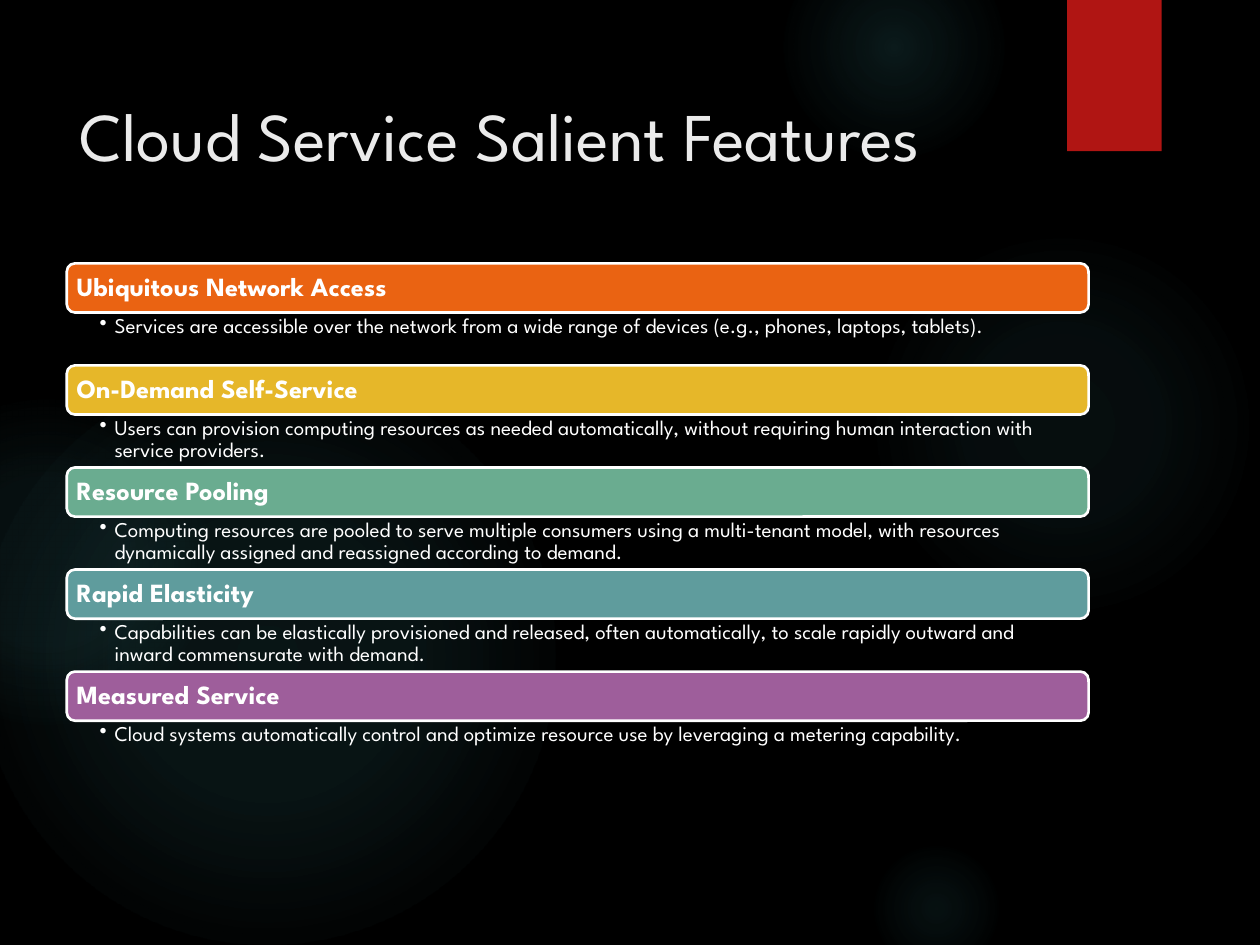
from dataclasses import dataclass

from lxml import etree
from pptx import Presentation
from pptx.dml.color import RGBColor
from pptx.enum.shapes import MSO_SHAPE as Shape
from pptx.enum.text import MSO_ANCHOR as Anchor, PP_ALIGN as Align
from pptx.oxml import parse_xml
from pptx.oxml.ns import nsdecls, qn
from pptx.util import Inches, Pt

FONT = "League Spartan"
COLORS = {
    "background": "000000", "glow": "50B9C1", "ribbon": "B01513",
    "title": "EBEBEB", "white": "FFFFFF", "orange": "EA6312",
    "yellow": "E6B729", "green": "6AAC90", "teal": "5F9C9D", "purple": "9E5E9B",
}
LEFT, WIDTH = 0.53, 8.11
FIRST_TOP, ROW_STEP = 2.09, 0.81
BAR_HEIGHT, DETAIL_HEIGHT = 0.39, 0.42


@dataclass
class Glow:
    left: float
    top: float
    size: float
    stops: tuple[tuple[int, int], ...]  # position %, opacity %


@dataclass
class Feature:
    heading: str
    detail: str
    color: str


GLOWS = [
    Glow(6.89, 1.83, 3.08, ((0, 7), (36, 6), (69, 0))),
    Glow(6.22, -0.5, 1.75, ((0, 14), (36, 7), (73, 0))),
    Glow(6.89, 6.67, 1.08, ((0, 9), (36, 5), (66, 0))),
    Glow(-0.17, 2.92, 4.58, ((0, 11), (36, 10), (75, 0))),
    Glow(-0.92, 3.17, 2.58, ((0, 8), (36, 8), (72, 0))),
]
FEATURES = [
    Feature("Ubiquitous Network Access",
            "Services are accessible over the network from a wide range of devices "
            "(e.g., phones, laptops, tablets).", "orange"),
    Feature("On-Demand Self-Service",
            "Users can provision computing resources as needed automatically, "
            "without requiring human interaction with service providers.", "yellow"),
    Feature("Resource Pooling",
            "Computing resources are pooled to serve multiple consumers using a "
            "multi-tenant model, with resources dynamically assigned and reassigned "
            "according to demand.", "green"),
    Feature("Rapid Elasticity",
            "Capabilities can be elastically provisioned and released, often "
            "automatically, to scale rapidly outward and inward commensurate with "
            "demand.", "teal"),
    Feature("Measured Service",
            "Cloud systems automatically control and optimize resource use by "
            "leveraging a metering capability.", "purple"),
]


def rgb(name: str) -> RGBColor:
    return RGBColor.from_string(COLORS[name])


def add_block(page, kind: Shape, left: float, top: float, width: float, height: float,
              color: str):
    block = page.shapes.add_shape(
        kind, Inches(left), Inches(top), Inches(width), Inches(height))
    block.shadow.inherit = False
    block.fill.solid()
    block.fill.fore_color.rgb = rgb(color)
    block.line.fill.background()
    return block


def add_glow(page, glow: Glow) -> None:
    circle = add_block(page, Shape.OVAL, glow.left, glow.top, glow.size, glow.size, "glow")
    stops = "".join(
        f'<a:gs pos="{position * 1000}"><a:srgbClr val="{COLORS["glow"]}">'
        f'<a:alpha val="{opacity * 1000}"/></a:srgbClr></a:gs>'
        for position, opacity in glow.stops)
    gradient = parse_xml(
        f'<a:gradFill {nsdecls("a")} rotWithShape="1"><a:gsLst>{stops}</a:gsLst>'
        '<a:path path="circle"><a:fillToRect l="50000" t="50000" r="50000" b="50000"/>'
        '</a:path></a:gradFill>')
    properties = circle.element.spPr
    properties.replace(properties.find(qn("a:solidFill")), gradient)


def write_text(shape, text: str, size: float, color: str,
               insets: tuple[float, float, float, float], bold: bool = False,
               anchor: Anchor = Anchor.TOP, spacing: float = 0.9, bullet: bool = False) -> None:
    frame = shape.text_frame
    frame.word_wrap = True
    frame.vertical_anchor = anchor
    frame.margin_left, frame.margin_top, frame.margin_right, frame.margin_bottom = map(
        Inches, insets)
    frame.text = text
    para = frame.paragraphs[0]
    para.alignment = Align.LEFT
    para.line_spacing = spacing
    if bullet:
        para.level = 1
        properties = para._p.get_or_add_pPr()
        properties.set("marL", str(Inches(0.12)))
        properties.set("indent", str(-Inches(0.12)))
        etree.SubElement(properties, qn("a:buChar")).set("char", "•")
    span = para.runs[0]
    span.font.name = FONT
    span.font.size = Pt(size)
    span.font.bold = bold
    span.font.color.rgb = rgb(color)


def add_text(page, left: float, top: float, width: float, height: float):
    return page.shapes.add_textbox(Inches(left), Inches(top), Inches(width), Inches(height))


def add_feature(page, feature: Feature, top: float) -> None:
    # Coloured heading bar
    bar = add_block(page, Shape.ROUNDED_RECTANGLE, LEFT, top, WIDTH, BAR_HEIGHT, feature.color)
    bar.line.color.rgb = rgb("white")
    bar.line.width = Pt(1.5)
    write_text(bar, feature.heading, 15, "white", (0.06, 0.06, 0.06, 0.06),
               bold=True, anchor=Anchor.MIDDLE)
    # Bulleted explanation
    box = add_text(page, LEFT, top + BAR_HEIGHT, WIDTH, DETAIL_HEIGHT)
    write_text(box, feature.detail, 12, "white", (0.26, 0.02, 0.12, 0.02), bullet=True)


def main() -> None:
    deck = Presentation()
    deck.slide_width, deck.slide_height = Inches(10), Inches(7.5)
    page = deck.slides.add_slide(deck.slide_layouts[6])

    # Background, glows and ribbon
    page.background.fill.solid()
    page.background.fill.fore_color.rgb = rgb("background")
    for glow in GLOWS:
        add_glow(page, glow)
    add_block(page, Shape.RECTANGLE, 8.47, 0, 0.75, 1.2, "ribbon")

    # Title
    title = add_text(page, LEFT, 0.69, WIDTH, 1.77)
    write_text(title, "Cloud Service Salient Features", 39, "title",
               (0.1, 0.05, 0.1, 0.05), spacing=1.0)

    # Feature list
    for row, feature in enumerate(FEATURES):
        add_feature(page, feature, FIRST_TOP + row * ROW_STEP)

    deck.save("out.pptx")


if __name__ == "__main__":
    main()
